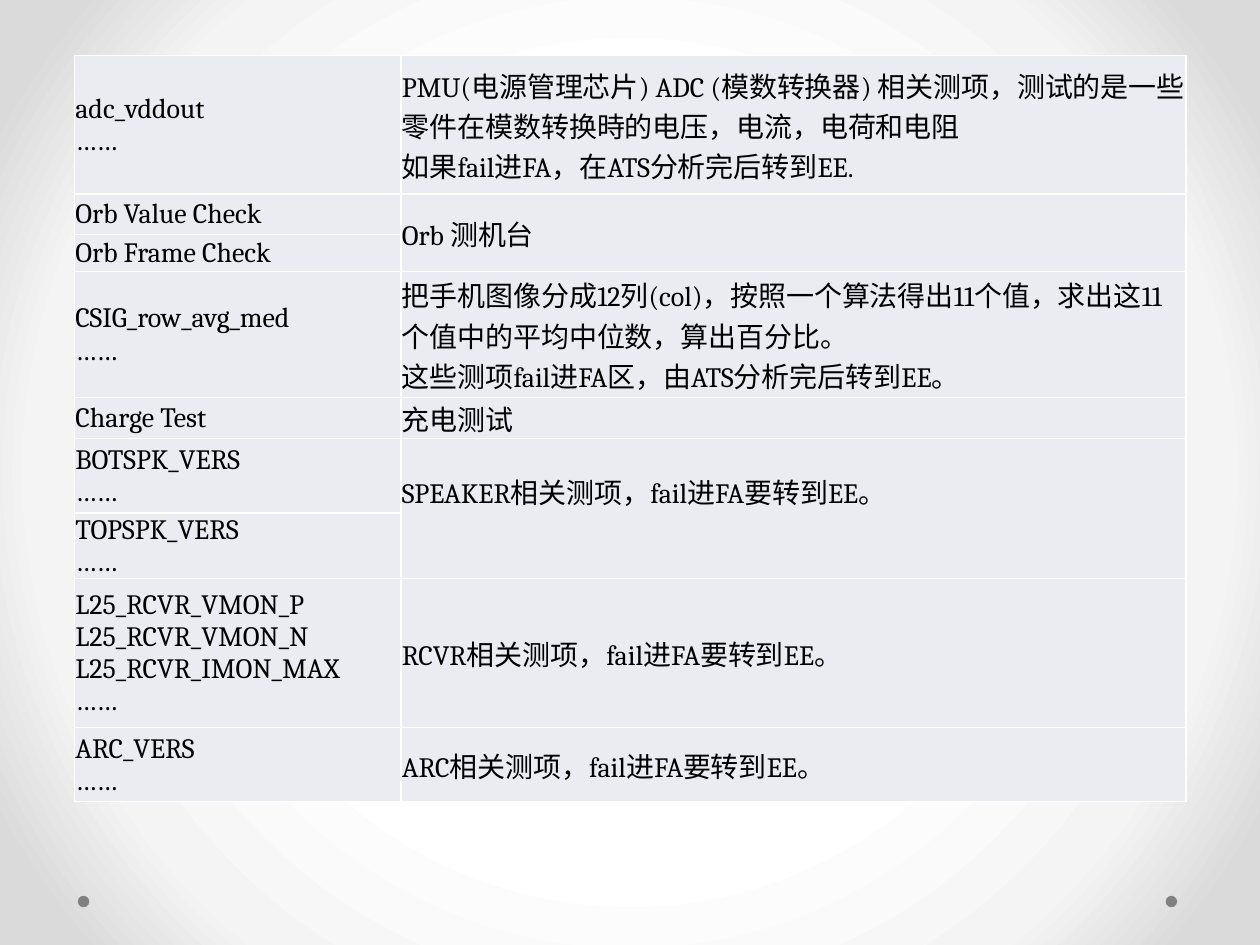
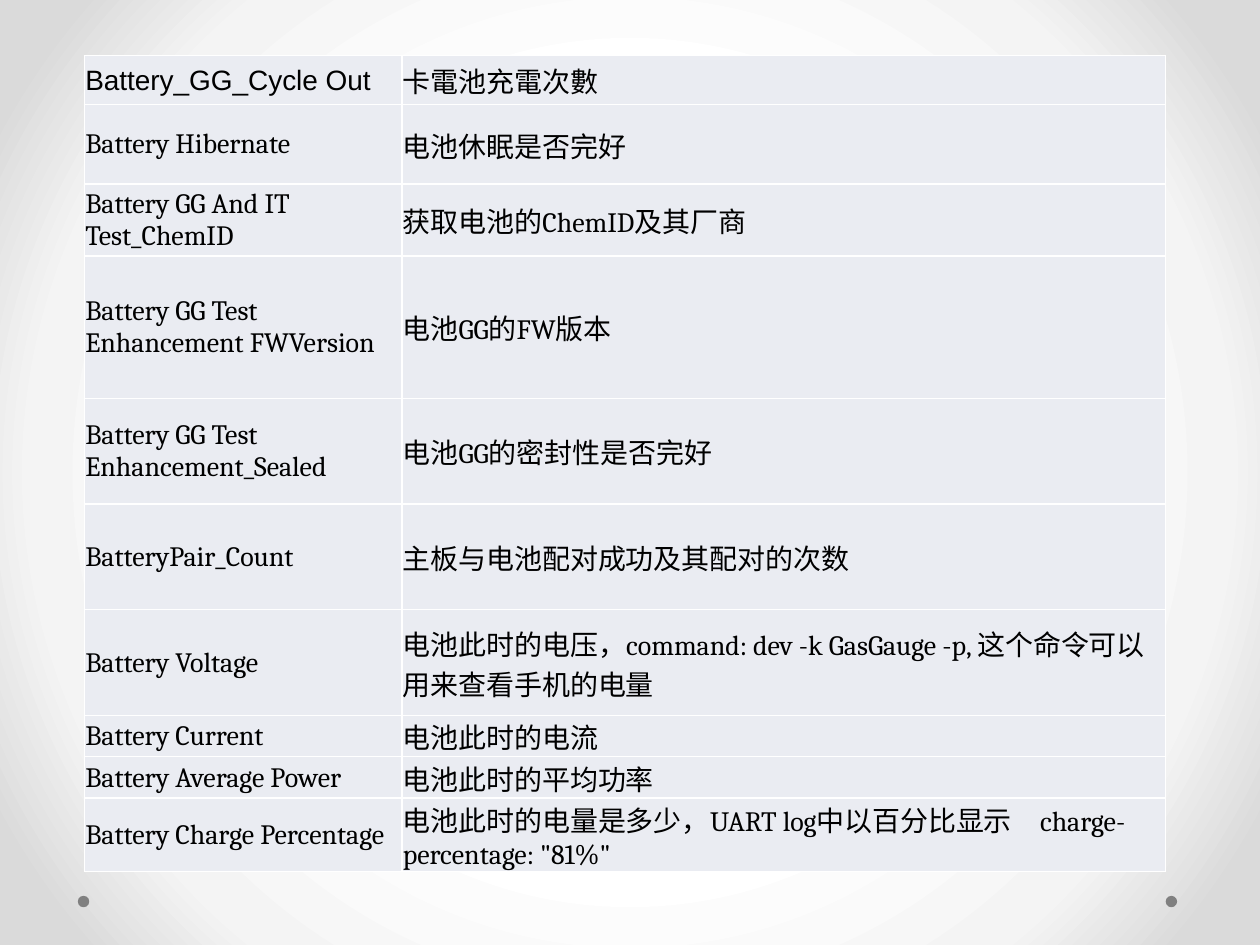
from pptx import Presentation
from pptx.dml.color import RGBColor
from pptx.enum.shapes import MSO_SHAPE as Shape
from pptx.enum.text import MSO_ANCHOR as Anchor
from pptx.oxml import parse_xml
from pptx.oxml.ns import nsdecls, qn
from pptx.util import Cm, Pt

WHITE, CELL, DOT, INK = "FFFFFF", "EAECF2", "808080", "000000"
BACKDROP_STOPS = [(50, WHITE), (76, "F4F4F4"), (92, "DADADA")]
TABLE_TOP = 1.12
MORE = "\n……"

# Each row: height in cm, test item, description (None joins the cell above).
MODULE_TESTS = [
    (2.79, "adc_vddout" + MORE,
     "PMU(电源管理芯片) ADC (模数转换器) 相关测项，测试的是一些零件在模数转换時的电压，电流，电荷和电阻\n"
     "如果fail进FA，在ATS分析完后转到EE."),
    (0.82, "Orb Value Check", "Orb 测机台"),
    (0.74, "Orb Frame Check", None),
    (2.54, "CSIG_row_avg_med" + MORE,
     "把手机图像分成12列(col)，按照一个算法得出11个值，求出这11个值中的平均中位数，算出百分比。\n"
     "这些测项fail进FA区，由ATS分析完后转到EE。"),
    (0.82, "Charge Test", "充电测试"),
    (1.5, "BOTSPK_VERS" + MORE, "SPEAKER相关测项，fail进FA要转到EE。"),
    (1.28, "TOPSPK_VERS" + MORE, None),
    (3, "L25_RCVR_VMON_P\nL25_RCVR_VMON_N\nL25_RCVR_IMON_MAX" + MORE,
     "RCVR相关测项，fail进FA要转到EE。"),
    (1.5, "ARC_VERS" + MORE, "ARC相关测项，fail进FA要转到EE。"),
]
SPEAKER_ROW = 5

BATTERY_TESTS = [
    (0.99, "Battery_GG_Cycle Out", "卡電池充電次數"),
    (1.6, "Battery Hibernate", "电池休眠是否完好"),
    (1.45, "Battery GG And IT Test_ChemID", "获取电池的ChemID及其厂商"),
    (2.87, "Battery GG Test Enhancement FWVersion", "电池GG的FW版本"),
    (2.13, "Battery GG Test Enhancement_Sealed", "电池GG的密封性是否完好"),
    (2.13, "BatteryPair_Count", "主板与电池配对成功及其配对的次数"),
    (2.13, "Battery Voltage",
     "电池此时的电压，command: dev -k GasGauge -p, 这个命令可以用来查看手机的电量"),
    (0.8, "Battery Current", "电池此时的电流"),
    (0.8, "Battery Average Power", "电池此时的平均功率"),
    (1.45, "Battery Charge Percentage",
     '电池此时的电量是多少，UART log中以百分比显示　charge-percentage: "81%"'),
]


def rgb(color):
    return RGBColor.from_string(color)


def set_backdrop(master):
    """Give the master a radial gradient, lightest in the middle."""
    fill = master.background.fill
    fill.solid()
    solid = next(master.element.iter(qn("p:bgPr"))).find(qn("a:solidFill"))
    stops = "".join(f'<a:gs pos="{pos * 1000}"><a:srgbClr val="{color}"/></a:gs>'
                    for pos, color in BACKDROP_STOPS)
    gradient = parse_xml(
        f'<a:gradFill {nsdecls("a")} rotWithShape="1"><a:gsLst>{stops}</a:gsLst>'
        '<a:path path="circle"><a:fillToRect l="50000" t="50000" r="50000" b="50000"/>'
        '</a:path></a:gradFill>')
    solid.getparent().replace(solid, gradient)


def add_dot(s, left):
    dot = s.shapes.add_shape(Shape.OVAL, Cm(left), Cm(18.06), Cm(0.23), Cm(0.23))
    dot.shadow.inherit = False
    dot.fill.solid()
    dot.fill.fore_color.rgb = rgb(DOT)
    dot.line.fill.background()


def write(tf, text, font="Cambria", size=16, color=INK):
    """Write text into one paragraph, with a line break at each newline."""
    p = tf.paragraphs[0]
    for i, line in enumerate(text.split("\n")):
        if i:
            p.add_line_break()
        r = p.add_run()
        r.text = line
        r.font.name, r.font.size, r.font.bold = font, Pt(size), False
        r.font.color.rgb = rgb(color)


def style_cell(cell):
    cell.vertical_anchor = Anchor.MIDDLE
    cell.margin_left = cell.margin_right = cell.margin_top = Cm(0.02)
    cell.margin_bottom = 0
    tcPr = cell._tc.get_or_add_tcPr()
    for side in "LRTB":
        tcPr.append(parse_xml(
            f'<a:ln{side} {nsdecls("a")} w="{Pt(1)}"><a:solidFill>'
            f'<a:srgbClr val="{WHITE}"/></a:solidFill></a:ln{side}>'))
    cell.fill.solid()
    cell.fill.fore_color.rgb = rgb(CELL)


def add_test_table(s, tests, left, widths, first_font="Cambria"):
    """Add a table of test items; first_font is for the first item only."""
    height = sum(test[0] for test in tests)
    table = s.shapes.add_table(len(tests), 2, Cm(left), Cm(TABLE_TOP),
                               Cm(sum(widths)), Cm(height)).table
    table.first_row = table.horz_banding = False
    for column, width in zip(table.columns, widths):
        column.width = Cm(width)
    for i, (row_height, item, description) in enumerate(tests):
        table.rows[i].height = Cm(row_height)
        name, detail = table.cell(i, 0), table.cell(i, 1)
        style_cell(name)
        style_cell(detail)
        write(name.text_frame, item, font="Cambria" if i else first_font)
        if description is None:
            table.cell(i - 1, 1).merge(detail)
        else:
            write(detail.text_frame, description)
    return table


def add_test_slide(prs):
    s = prs.slides.add_slide(prs.slide_layouts[6])
    for left in (23.5, 1.57):
        add_dot(s, left)
    return s


def main():
    prs = Presentation()
    prs.slide_width, prs.slide_height = Cm(25.4), Cm(19.05)
    set_backdrop(prs.slide_master)

    modules = add_test_table(add_test_slide(prs), MODULE_TESTS, 1.5, (6.58, 15.83))
    modules.cell(SPEAKER_ROW, 1).margin_bottom = Cm(0.72)

    add_test_table(add_test_slide(prs), BATTERY_TESTS, 1.7, (6.4, 15.4),
                   first_font="Arial")
    prs.save("out.pptx")


if __name__ == "__main__":
    main()
